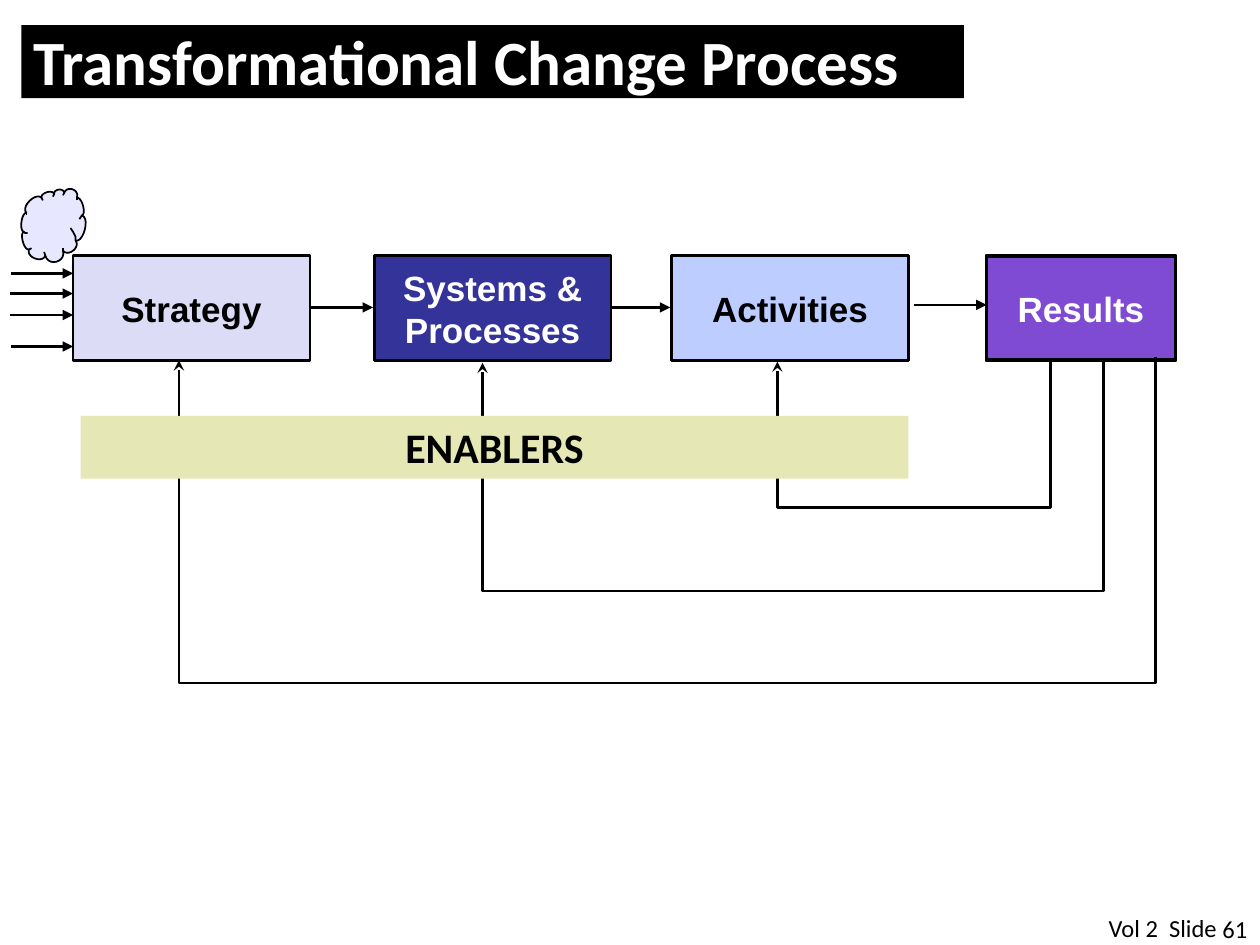
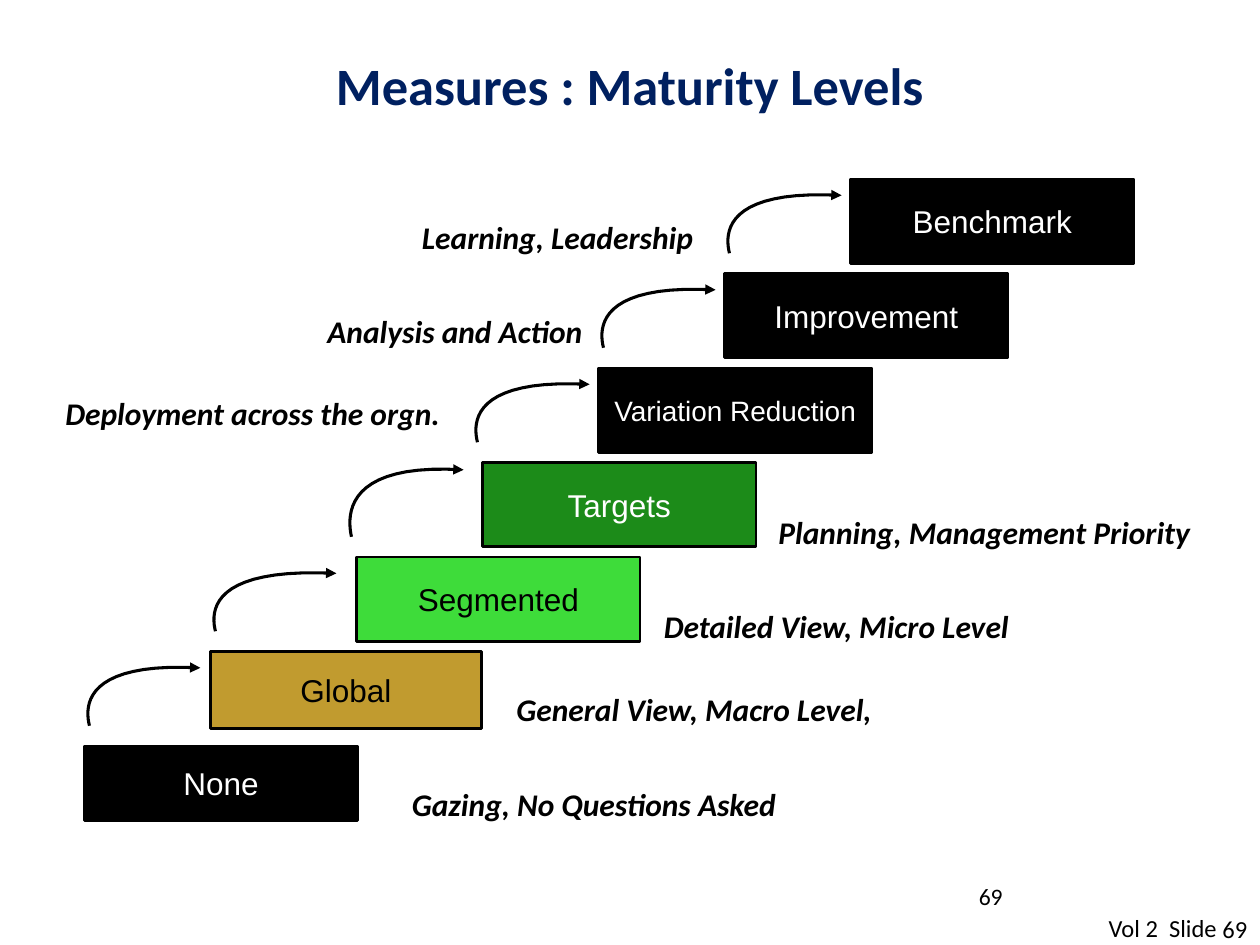
"""Build two slides: a change process flow and a staircase of measure maturity levels."""
from dataclasses import dataclass
from math import hypot

from lxml.etree import SubElement
from pptx import Presentation
from pptx.dml.color import RGBColor
from pptx.enum.shapes import MSO_CONNECTOR, MSO_SHAPE
from pptx.enum.text import MSO_ANCHOR, PP_ALIGN
from pptx.oxml.ns import qn
from pptx.util import Pt

EMU_PER_PX = 9144


@dataclass(frozen=True)
class Theme:
    black: str = "000000"
    white: str = "FFFFFF"
    navy: str = "002060"
    lavender: str = "DCDCF6"
    indigo: str = "333399"
    sky: str = "BDCDFF"
    violet: str = "7F4BD3"
    cloud: str = "E7E7FF"
    enabler: str = "E5E8B4"
    gold: str = "C19B2F"
    lime: str = "3EDC3A"
    green: str = "1C8B19"
    heading_font: str = "Calibri"
    box_font: str = "Arial"
    band_title_size: float = 36
    title_size: float = 30
    enabler_size: float = 24
    stage_size: float = 20
    step_size: float = 18
    long_step_size: float = 16
    footer_size: float = 14
    page_size: float = 13.5
    thin: float = 1
    line: float = 1.5
    curve: float = 1.75
    thick: float = 2.25


THEME = Theme()

STAGE_TOP, STAGE_HEIGHT = 203, 83
STAGES = [
    ("Strategy", 58, 188, THEME.lavender, THEME.black, THEME.line),
    ("Systems & Processes", 297, 188, THEME.indigo, THEME.white, THEME.line),
    ("Activities", 533, 188, THEME.sky, THEME.black, THEME.line),
    ("Results", 783, 150, THEME.violet, THEME.white, THEME.thick),
]
STAGE_ARROWS = [
    (247, 296, 244, THEME.line),
    (486, 532, 244, THEME.line),
    (725, 783, 242, THEME.thin),
]
INPUT_ARROWS = [(9, 217), (8, 233), (8, 250), (9, 275)]
FEEDBACK_LOOPS = [
    (917, 283, 542, 142, 286),
    (876, 286, 469, 383, 288),
    (834, 286, 403, 617, 287),
]
CLOUD_LOBES = [
    (21, 169, 3), (19, 184, 3), (23, 198, 5), (36, 203, 7), (50, 199, 5), (60, 191, 5),
    (65, 171, 3), (61, 157, 5), (51, 153, 3), (43, 154, 3), (33, 157, 5),
]
CLOUD_CREASES = [
    [(19, 184), (20, 185), (22, 185)],
    [(23, 198), (25, 197)],
    [(35, 200), (36, 203)],
    [(50, 199), (50, 197)],
    [(60, 191), (60, 188), (58, 184), (56, 181)],
    [(63, 174), (65, 171)],
    [(61, 159), (61, 157)],
    [(51, 153), (50, 155)],
    [(43, 154), (42, 156)],
    [(34, 159), (33, 157)],
    [(21, 169), (21, 171)],
]

STEP_TOP, STEP_PITCH = 142, 75
STEPS = [
    ("Benchmark", 675, 225, 67, THEME.black, THEME.white, THEME.step_size),
    ("Improvement", 575, 225, 67, THEME.black, THEME.white, THEME.step_size),
    ("Variation Reduction", 475, 217, 67, THEME.black, THEME.white, THEME.long_step_size),
    ("Targets", 383, 217, 67, THEME.green, THEME.white, THEME.step_size),
    ("Segmented", 283, 225, 67, THEME.lime, THEME.black, THEME.step_size),
    ("Global", 167, 215, 61, THEME.gold, THEME.black, THEME.step_size),
    ("None", 67, 217, 59, THEME.black, THEME.white, THEME.step_size),
]
STEP_ARROWS = [
    (575, 150, 93, 51), (475, 225, 93, 51), (375, 300, 93, 51),
    (275, 367, 93, 59), (167, 450, 100, 51), (67, 525, 92, 51),
]
STEP_NOTES = [
    ("Learning, Leadership", 325, 168, 275),
    ("Analysis and Action", 250, 243, 250),
    ("Deployment across the orgn.", 42, 308, 325),
    ("Planning, Management Priority", 608, 402, 350),
    ("Detailed View, Micro Level", 517, 477, 317),
    ("General View, Macro Level,", 400, 543, 317),
    ("Gazing, No Questions Asked", 317, 618, 492),
]


def px(*lengths):
    return [round(length * EMU_PER_PX) for length in lengths]


def rgb(color):
    return RGBColor.from_string(color)


def write(shape, text, size, color=THEME.black, font=THEME.heading_font, bold=False,
          italic=False, align=PP_ALIGN.LEFT, anchor=MSO_ANCHOR.TOP, wrap=True):
    frame = shape.text_frame
    frame.text = text
    frame.word_wrap = wrap
    frame.vertical_anchor = anchor
    paragraph = frame.paragraphs[0]
    paragraph.alignment = align
    run_font = paragraph.runs[0].font
    run_font.name, run_font.size = font, Pt(size)
    run_font.bold, run_font.italic = bold, italic
    run_font.color.rgb = rgb(color)


def add_label(slide, box, text, size, **style):
    shape = slide.shapes.add_textbox(*px(*box))
    write(shape, text, size, **style)
    return shape


def style_line(shape, width, arrowhead=None):
    shape.line.color.rgb = rgb(THEME.black)
    shape.line.width = Pt(width)
    if arrowhead:
        outline = shape._element.spPr.find(qn("a:ln"))
        SubElement(outline, qn("a:tailEnd"), type=arrowhead)


def add_box(slide, box, fill, line_width=None):
    shape = slide.shapes.add_shape(MSO_SHAPE.RECTANGLE, *px(*box))
    shape.shadow.inherit = False
    shape.fill.solid()
    shape.fill.fore_color.rgb = rgb(fill)
    if line_width:
        style_line(shape, line_width)
    else:
        shape.line.fill.background()
    return shape


def add_arrow(slide, left, right, y, width):
    connector = slide.shapes.add_connector(MSO_CONNECTOR.STRAIGHT, *px(left, y, right, y))
    style_line(connector, width, "triangle")
    SubElement(connector._element.spPr, qn("a:effectLst"))


def add_outline(shapes, points, width, fill=None, arrowhead=None):
    start, *rest = [px(*point) for point in points]
    builder = shapes.build_freeform(*start, scale=1.0)
    builder.add_line_segments(rest, close=fill is not None)
    shape = builder.convert_to_shape()
    shape.shadow.inherit = False
    if fill:
        shape.fill.solid()
        shape.fill.fore_color.rgb = rgb(fill)
    else:
        shape.fill.background()
    style_line(shape, width, arrowhead)


def bezier(start, control_1, control_2, end, count=20):
    points = []
    for step in range(count + 1):
        t = step / count
        weights = ((1 - t) ** 3, 3 * t * (1 - t) ** 2, 3 * t * t * (1 - t), t ** 3)
        points.append(tuple(
            sum(weight * value for weight, value in zip(weights, values))
            for values in zip(start, control_1, control_2, end)))
    return points


def add_curved_arrow(slide, left, top, width, height):
    points = bezier((left + 4, top + height), (left, top + 0.69 * height),
                    (left, top), (left + width, top + 0.1 * height))
    add_outline(slide.shapes, points, THEME.curve, arrowhead="triangle")


def add_cloud(slide):
    shapes = slide.shapes.add_group_shape().shapes
    points = []
    for (x1, y1, depth), (x2, y2, _) in zip(CLOUD_LOBES, CLOUD_LOBES[1:] + CLOUD_LOBES[:1]):
        reach = depth / 0.75 / hypot(x2 - x1, y2 - y1)
        shift_x, shift_y = (y1 - y2) * reach, (x2 - x1) * reach
        points += bezier((x1, y1), (x1 + shift_x, y1 + shift_y),
                         (x2 + shift_x, y2 + shift_y), (x2, y2), 10)[:-1]
    add_outline(shapes, points, THEME.thin, fill=THEME.cloud)
    for crease in CLOUD_CREASES:
        add_outline(shapes, crease, THEME.thin)


def add_slide(presentation, number):
    slide = presentation.slides.add_slide(presentation.slide_layouts[6])
    page = add_label(slide, (953, 725, 37, 24), number, THEME.footer_size,
                     align=PP_ALIGN.RIGHT, anchor=MSO_ANCHOR.BOTTOM)
    frame = page.text_frame
    frame.margin_left = frame.margin_right = frame.margin_top = frame.margin_bottom = 0
    add_label(slide, (870, 720, 107, 34), "Vol 2  Slide", THEME.footer_size, wrap=False)
    return slide


def build_change_process(presentation):
    slide = add_slide(presentation, "61")
    title = add_box(slide, (17, 20, 748, 58), THEME.black)
    write(title, "Transformational Change Process", THEME.band_title_size, THEME.white,
          bold=True, anchor=MSO_ANCHOR.BOTTOM)
    title.text_frame.margin_bottom = 0
    for name, left, width, fill, color, line_width in STAGES:
        stage = add_box(slide, (left, STAGE_TOP, width, STAGE_HEIGHT), fill, line_width)
        write(stage, name, THEME.stage_size, color, THEME.box_font, bold=True,
              align=PP_ALIGN.CENTER, anchor=MSO_ANCHOR.MIDDLE)
    for start_x, start_y, bottom, end_x, end_y in FEEDBACK_LOOPS:
        loop = [(start_x, start_y), (start_x, bottom), (end_x, bottom), (end_x, end_y)]
        add_outline(slide.shapes, loop, THEME.line, arrowhead="stealth")
    for arrow in STAGE_ARROWS:
        add_arrow(slide, *arrow)
    for left, y in INPUT_ARROWS:
        add_arrow(slide, left, STAGES[0][1], y, THEME.line)
    add_cloud(slide)
    enablers = add_box(slide, (64, 330, 657, 50), THEME.enabler)
    write(enablers, "ENABLERS", THEME.enabler_size, bold=True, align=PP_ALIGN.CENTER)


def build_maturity_levels(presentation):
    slide = add_slide(presentation, "69")
    add_label(slide, (767, 695, 233, 40), "69", THEME.page_size)
    add_label(slide, (50, 42, 900, 50), "Measures : Maturity Levels", THEME.title_size,
              color=THEME.navy, bold=True, align=PP_ALIGN.CENTER, anchor=MSO_ANCHOR.MIDDLE)
    for row, (name, left, width, height, fill, color, size) in enumerate(STEPS):
        top = STEP_TOP + row * STEP_PITCH
        step = add_box(slide, (left, top, width, height), fill, THEME.line)
        write(step, name, size, color, THEME.box_font, align=PP_ALIGN.CENTER,
              anchor=MSO_ANCHOR.MIDDLE, wrap=False)
    for arrow in STEP_ARROWS:
        add_curved_arrow(slide, *arrow)
    for text, left, top, width in STEP_NOTES:
        add_label(slide, (left, top, width, 40), text, THEME.step_size, bold=True, italic=True)


def main():
    presentation = Presentation()
    presentation.slide_width, presentation.slide_height = px(1000, 750)
    build_change_process(presentation)
    build_maturity_levels(presentation)
    presentation.save("out.pptx")


if __name__ == "__main__":
    main()
